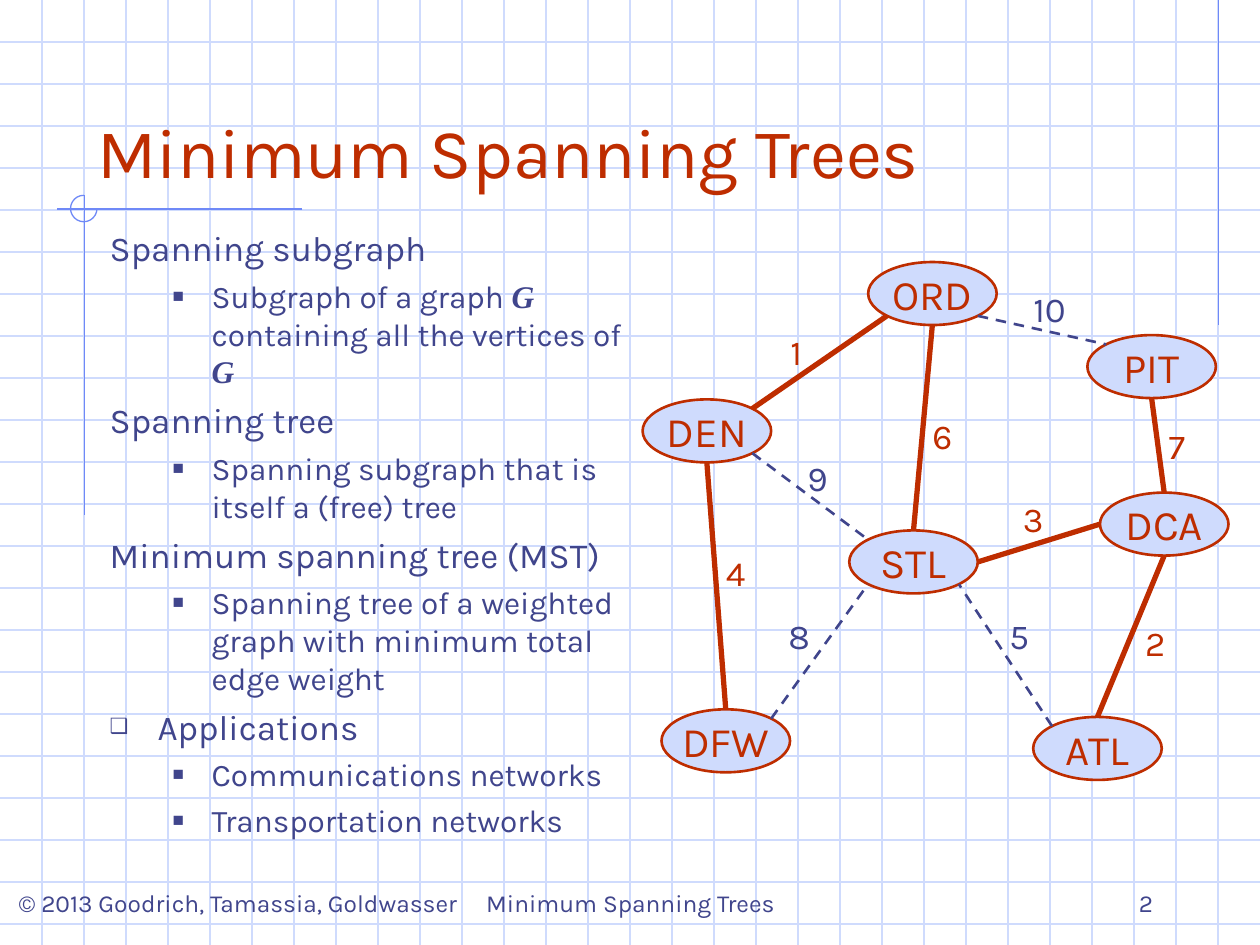
"""Build a slide that defines minimum spanning trees beside a weighted airport graph."""
import math

from lxml import etree
from pptx import Presentation
from pptx import util as u
from pptx.dml import color
from pptx.enum import dml, shapes, text
from pptx.oxml import ns

rgb = color.RGBColor.from_string
RED, NAVY, PALE, BLUE = "BE2D00", "40458C", "CFDBFD", "6F89F7"


def write(para, words, size=20, ink=NAVY, face="Karla", strong=False):
    span = para.add_run()
    span.text = words
    span.font.size = u.Pt(size)
    span.font.name = face
    span.font.bold = span.font.italic = strong
    span.font.color.rgb = rgb(ink)


def draw_line(parent, begin, end, ink, weight=0.75):
    points = [u.Inches(value) for value in (*begin, *end)]
    line = parent.add_connector(shapes.MSO_CONNECTOR.STRAIGHT, *points)
    line.line.color.rgb = rgb(ink)
    line.line.width = u.Pt(weight)
    etree.SubElement(line.element.spPr, ns.qn("a:effectLst"))
    return line


deck = Presentation()
deck.slide_width, deck.slide_height = u.Inches(10), u.Inches(7.5)
page = deck.slides.add_slide(deck.slide_layouts[1])

grid = page.shapes.add_group_shape().shapes
for row in range(1, 23):
    draw_line(grid, (0, row / 3), (10, row / 3), PALE)
for column in range(1, 30):
    draw_line(grid, (column / 3, 0), (column / 3, 7.5), PALE)

accents = page.shapes.add_group_shape().shapes
draw_line(accents, (9.67, 0), (9.67, 2.58), BLUE)
draw_line(accents, (2.4, 1.66), (0.45, 1.66), BLUE)
draw_line(accents, (0.67, 1.55), (0.67, 4.09), BLUE)
arc = accents.add_shape(shapes.MSO_SHAPE.ARC, u.Inches(0.56), u.Inches(1.55),
                        u.Inches(0.21), u.Inches(0.21))
arc.adjustments[0], arc.adjustments[1] = 0, 162
arc.shadow.inherit = False
arc.fill.background()
arc.line.color.rgb = rgb(BLUE)
arc.line.width = u.Pt(0.75)

title, body = page.shapes.title, page.placeholders[1]
for holder, place in ((title, (0.67, 0.33, 8.99, 1.25)), (body, (0.77, 1.75, 4.47, 5.17))):
    holder.left, holder.top, holder.width, holder.height = map(u.Inches, place)
    holder.text_frame.auto_size = text.MSO_AUTO_SIZE.NONE
    holder.element.getparent().append(holder.element)

title.text_frame.vertical_anchor = text.MSO_ANCHOR.BOTTOM
heading = title.text_frame.paragraphs[0]
heading.alignment = text.PP_ALIGN.LEFT
write(heading, "Minimum Spanning Trees", size=40, ink=RED)

outline = [
    (0, "", "Spanning subgraph"),
    (1, "■", "Subgraph of a graph |G| containing all the vertices of |G"),
    (0, "", "Spanning tree"),
    (1, "■", "Spanning subgraph that is itself a (free) tree"),
    (0, "", "Minimum spanning tree (MST)"),
    (1, "■", "Spanning tree of a weighted graph with minimum total edge weight"),
    (0, "❑", "Applications"),
    (1, "■", "Communications networks"),
    (1, "■", "Transportation networks"),
]
for number, (level, bullet, words) in enumerate(outline):
    para = body.text_frame.add_paragraph() if number else body.text_frame.paragraphs[0]
    para.level = level
    para.space_before = u.Pt((5, 4.5)[level] if number else 0)
    layout = para._p.get_or_add_pPr()
    layout.set("marL", str(u.Inches((0.38, 0.81)[level])))
    layout.set("indent", str(u.Inches((-0.38, -0.31)[level])))
    if bullet:
        tint = etree.SubElement(layout, ns.qn("a:buClr"))
        etree.SubElement(tint, ns.qn("a:srgbClr"), val=NAVY)
        etree.SubElement(layout, ns.qn("a:buSzPct"), val="60000")
        etree.SubElement(layout, ns.qn("a:buChar"), char=bullet)
    else:
        etree.SubElement(layout, ns.qn("a:buNone"))
    for position, part in enumerate(words.split("|")):
        symbol = position % 2 == 1
        write(para, part, size=(20, 18)[level],
              face="Times New Roman" if symbol else "Karla", strong=symbol)

airports = {
    "ORD": (6.89, 2.08), "PIT": (8.63, 2.66), "ATL": (8.2, 5.69), "STL": (6.74, 4.21),
    "DEN": (5.1, 3.17), "DFW": (5.25, 5.63), "DCA": (8.73, 3.91),
}
nodes = {}
for name, (left, top) in airports.items():
    node = page.shapes.add_shape(shapes.MSO_SHAPE.OVAL, u.Inches(left), u.Inches(top),
                                 u.Inches(1.02), u.Inches(0.5))
    node.shadow.inherit = False
    node.fill.solid()
    node.fill.fore_color.rgb = rgb(PALE)
    node.line.color.rgb = rgb(RED)
    node.line.width = u.Pt(1.5)
    node.text_frame.word_wrap = False
    node.text_frame.vertical_anchor = text.MSO_ANCHOR.MIDDLE
    node.text_frame.paragraphs[0].alignment = text.PP_ALIGN.CENTER
    write(node.text_frame.paragraphs[0], name, size=24, ink=RED)
    nodes[name] = node

CENTER, RIGHT = text.PP_ALIGN.CENTER, text.PP_ALIGN.RIGHT
TOP, BOTTOM = text.MSO_ANCHOR.TOP, text.MSO_ANCHOR.BOTTOM
captions = [
    ("© 2013 Goodrich, Tamassia, Goldwasser", (-0.05, 7, 3.88, 0.34), 14, NAVY, CENTER, TOP),
    ("Minimum Spanning Trees", (3.42, 6.83, 3.17, 0.5), 14, NAVY, CENTER, BOTTOM),
    ("2", (7.17, 6.83, 2.08, 0.5), 14, NAVY, RIGHT, BOTTOM),
]

edges = [
    ("DEN", 7, "ORD", 3, "1", True, (6.14, 2.57)),
    ("STL", 0, "ORD", 4, "6", True, (7.3, 3.24)),
    ("STL", 6, "DCA", 2, "3", True, (8.02, 3.9)),
    ("DCA", 0, "PIT", 4, "7", True, (9.16, 3.32)),
    ("ORD", 5, "PIT", 1, "10", False, (8.07, 2.23)),
    ("DEN", 4, "DFW", 0, "4", True, (5.66, 4.33)),
    ("DCA", 4, "ATL", 0, "2", True, (8.99, 4.88)),
    ("ATL", 1, "STL", 5, "5", False, (7.91, 4.83)),
    ("DFW", 7, "STL", 3, "8", False, (6.16, 4.83)),
    ("DEN", 5, "STL", 1, "9", False, (6.31, 3.57)),
]
for start, start_site, finish, finish_site, weight, in_tree, (left, top) in edges:
    joints = (("a:stCxn", start, start_site), ("a:endCxn", finish, finish_site))
    ends = []
    for tag, name, site in joints:
        angle = math.radians(45 * site)
        ends.append((airports[name][0] + 0.51 * (1 - math.sin(angle)),
                     airports[name][1] + 0.25 * (1 - math.cos(angle))))
    ink = RED if in_tree else NAVY
    edge = draw_line(page.shapes, *ends, ink, 3 if in_tree else 1.5)
    if not in_tree:
        edge.line.dash_style = dml.MSO_LINE.DASH
    glue = edge.element.find(".//" + ns.qn("p:cNvCxnSpPr"))
    for tag, name, site in joints:
        etree.SubElement(glue, ns.qn(tag), id=str(nodes[name].shape_id), idx=str(site))
    width = 0.2 + 0.16 * len(weight)
    captions.append((weight, (left, top, width, 0.44), 20, ink, CENTER, TOP))

for words, place, size, ink, align, anchor in captions:
    box = page.shapes.add_textbox(*map(u.Inches, place))
    box.text_frame.word_wrap = anchor == BOTTOM
    box.text_frame.vertical_anchor = anchor
    box.text_frame.paragraphs[0].alignment = align
    write(box.text_frame.paragraphs[0], words, size=size, ink=ink)

deck.save("out.pptx")
